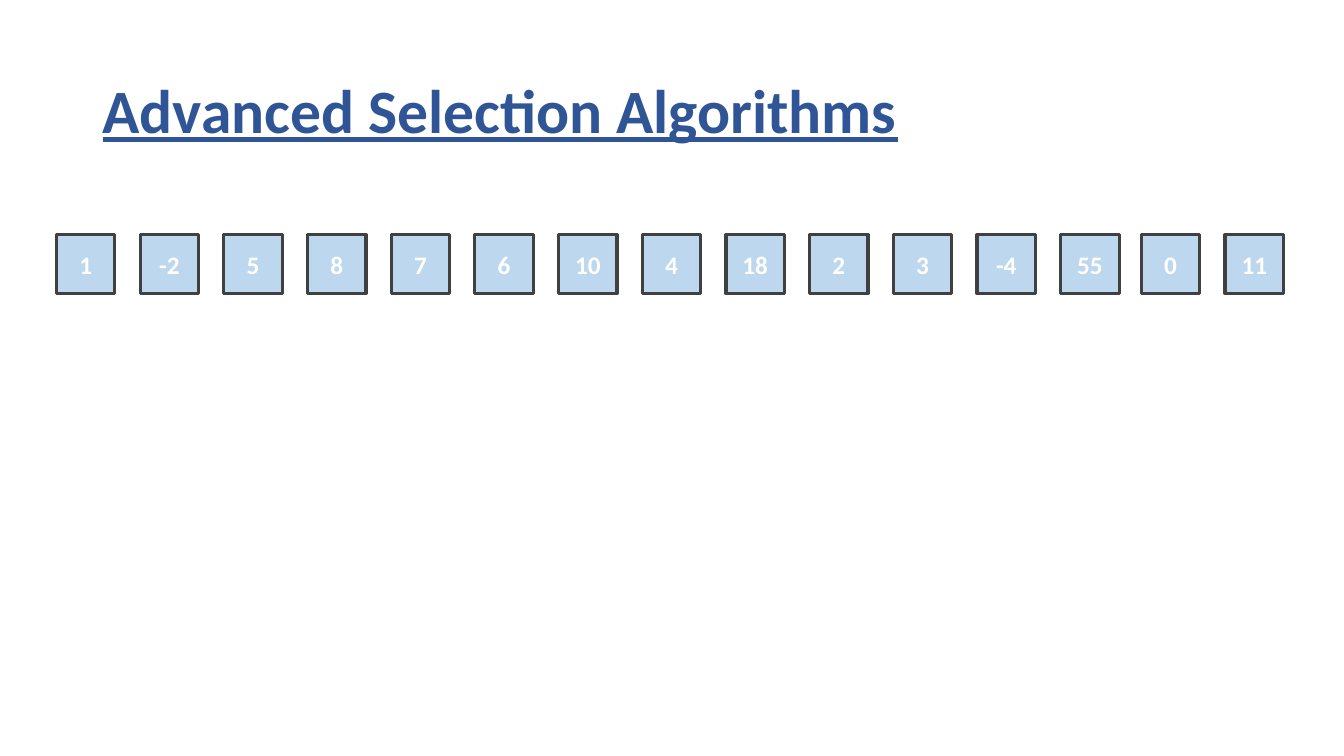
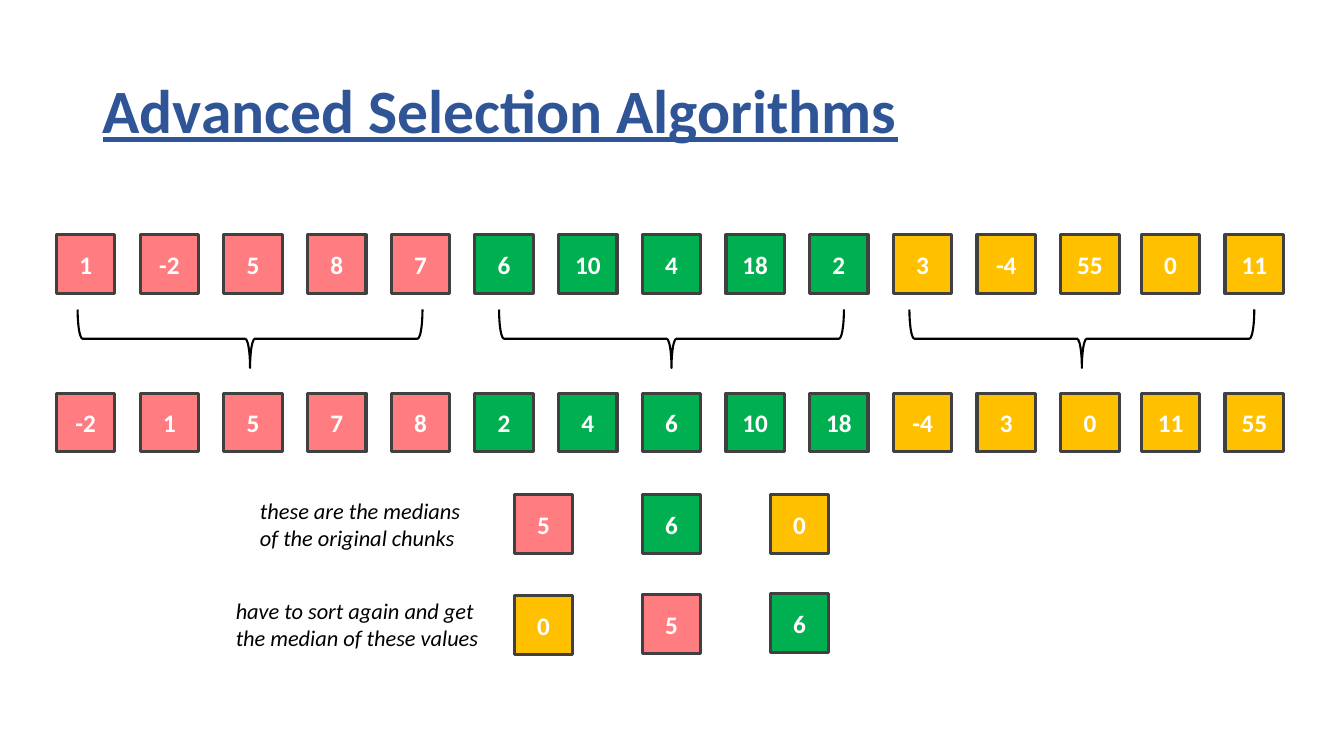
from dataclasses import dataclass

import pptx
import pptx.dml.color
import pptx.enum.shapes
import pptx.enum.text
import pptx.util

Inches = pptx.util.Inches
Pt = pptx.util.Pt
ALIGN = pptx.enum.text.PP_ALIGN
ANCHOR = pptx.enum.text.MSO_ANCHOR
SHAPES = pptx.enum.shapes.MSO_SHAPE

# Shared look
COLORS = {
    "title": "2F5597",
    "plain": "BDD7EE",
    "red": "FF7C80",
    "green": "00B050",
    "amber": "FFC000",
    "border": "404040",
    "white": "FFFFFF",
    "black": "000000",
}
TITLE_FONT = {"name": "Calibri", "size": Pt(44), "bold": True, "underline": True}
CELL_FONT = {"name": "Calibri", "size": Pt(18), "bold": True}
NOTE_FONT = {"name": "Calibri", "size": Pt(16), "italic": True}

TITLE = "Advanced Selection Algorithms"
CELL_SIZE = 0.58
CHUNK_SIZE = 5
CHUNK_COLORS = ("red", "green", "amber")

# Array row: equal steps, with the last two cells set slightly closer
ROW_LEFT = 0.56
ROW_STEP = 0.83
CLOSER_FROM = 13
CLOSER_BY = 0.03
ARRAY_TOP = 2.33
SORTED_TOP = 3.9

# Median rows
MEDIAN_LEFT = 5.1
MEDIAN_STEP = 1.27

# Braces: a left brace turned to point down
BRACE_LEFTS = (2.19, 6.37, 10.44)
BRACE_TOP = 1.65
BRACE_LENGTH = 3.42

ARRAY = (1, -2, 5, 8, 7, 6, 10, 4, 18, 2, 3, -4, 55, 0, 11)
SORTED_CHUNKS = (-2, 1, 5, 7, 8, 2, 4, 6, 10, 18, -4, 3, 0, 11, 55)


@dataclass
class Cell:
    value: int
    color: str
    left: float
    top: float


@dataclass
class Note:
    lines: tuple[str, ...]
    left: float
    top: float
    width: float


@dataclass
class MedianRow:
    values: tuple[int, ...]
    colors: tuple[str, ...]
    top: float
    rise: float
    note: Note


MEDIAN_ROWS = (
    MedianRow((5, 6, 0), CHUNK_COLORS, 4.91, 0,
              Note(("these are the medians", "of the original chunks"), 2.48, 4.88, 2.21)),
    MedianRow((0, 5, 6), ("amber", "red", "green"), 5.91, 0.01,
              Note(("have to sort again and get", "the median of these values"), 2.24, 5.88, 2.67)),
)


def rgb(name: str) -> pptx.dml.color.RGBColor:
    return pptx.dml.color.RGBColor.from_string(COLORS[name])


def apply_format(target, values: dict) -> None:
    for name, value in values.items():
        setattr(target, name, value)


def write_paragraph(paragraph, text: str, font_values: dict, color: str) -> None:
    run = paragraph.add_run()
    run.text = text
    apply_format(run.font, font_values)
    run.font.color.rgb = rgb(color)


def set_line(shape, color: str, width: float) -> None:
    shape.shadow.inherit = False
    shape.line.color.rgb = rgb(color)
    shape.line.width = Pt(width)


def add_title(slide) -> None:
    box = slide.shapes.add_textbox(Inches(0.92), Inches(0.4), Inches(11.5), Inches(1.45))
    apply_format(box.text_frame, {"word_wrap": True, "vertical_anchor": ANCHOR.MIDDLE})
    paragraph = box.text_frame.paragraphs[0]
    paragraph.line_spacing = 0.9
    write_paragraph(paragraph, TITLE, TITLE_FONT, "title")


def add_cell(slide, cell: Cell) -> None:
    shape = slide.shapes.add_shape(SHAPES.RECTANGLE, Inches(cell.left), Inches(cell.top),
                                   Inches(CELL_SIZE), Inches(CELL_SIZE))
    shape.fill.solid()
    shape.fill.fore_color.rgb = rgb(cell.color)
    set_line(shape, "border", 2.25)
    shape.text_frame.vertical_anchor = ANCHOR.MIDDLE
    paragraph = shape.text_frame.paragraphs[0]
    paragraph.alignment = ALIGN.CENTER
    write_paragraph(paragraph, str(cell.value), CELL_FONT, "white")


def add_array(slide, values: tuple[int, ...], top: float, chunk_colors: tuple[str, ...]) -> None:
    for index, value in enumerate(values):
        shift = CLOSER_BY if index >= CLOSER_FROM else 0
        left = ROW_LEFT + index * ROW_STEP - shift
        add_cell(slide, Cell(value, chunk_colors[index // CHUNK_SIZE], left, top))


def add_brace(slide, left: float) -> None:
    brace = slide.shapes.add_shape(SHAPES.LEFT_BRACE, Inches(left), Inches(BRACE_TOP),
                                   Inches(CELL_SIZE), Inches(BRACE_LENGTH))
    brace.rotation = 270
    brace.fill.background()
    set_line(brace, "black", 1.5)


def add_note(slide, note: Note) -> None:
    box = slide.shapes.add_textbox(Inches(note.left), Inches(note.top),
                                   Inches(note.width), Inches(0.64))
    frame = box.text_frame
    apply_format(frame, {"word_wrap": False,
                         "auto_size": pptx.enum.text.MSO_AUTO_SIZE.SHAPE_TO_FIT_TEXT})
    for index, line in enumerate(note.lines):
        paragraph = frame.add_paragraph() if index else frame.paragraphs[0]
        write_paragraph(paragraph, line, NOTE_FONT, "black")


def add_median_row(slide, row: MedianRow) -> None:
    for index, (value, color) in enumerate(zip(row.values, row.colors)):
        add_cell(slide, Cell(value, color, MEDIAN_LEFT + index * MEDIAN_STEP,
                             row.top - index * row.rise))
    add_note(slide, row.note)


def add_titled_slide(presentation):
    slide = presentation.slides.add_slide(presentation.slide_layouts[6])
    add_title(slide)
    return slide


def main() -> None:
    presentation = pptx.Presentation()
    apply_format(presentation, {"slide_width": Inches(13.33), "slide_height": Inches(7.5)})

    # Slide 1: the unsorted array
    slide = add_titled_slide(presentation)
    add_array(slide, ARRAY, ARRAY_TOP, ("plain",) * len(CHUNK_COLORS))

    # Slide 2: chunks, sorted chunks and their medians
    slide = add_titled_slide(presentation)
    add_array(slide, ARRAY, ARRAY_TOP, CHUNK_COLORS)
    for left in BRACE_LEFTS:
        add_brace(slide, left)
    add_array(slide, SORTED_CHUNKS, SORTED_TOP, CHUNK_COLORS)
    for row in MEDIAN_ROWS:
        add_median_row(slide, row)

    presentation.save("out.pptx")


if __name__ == "__main__":
    main()
